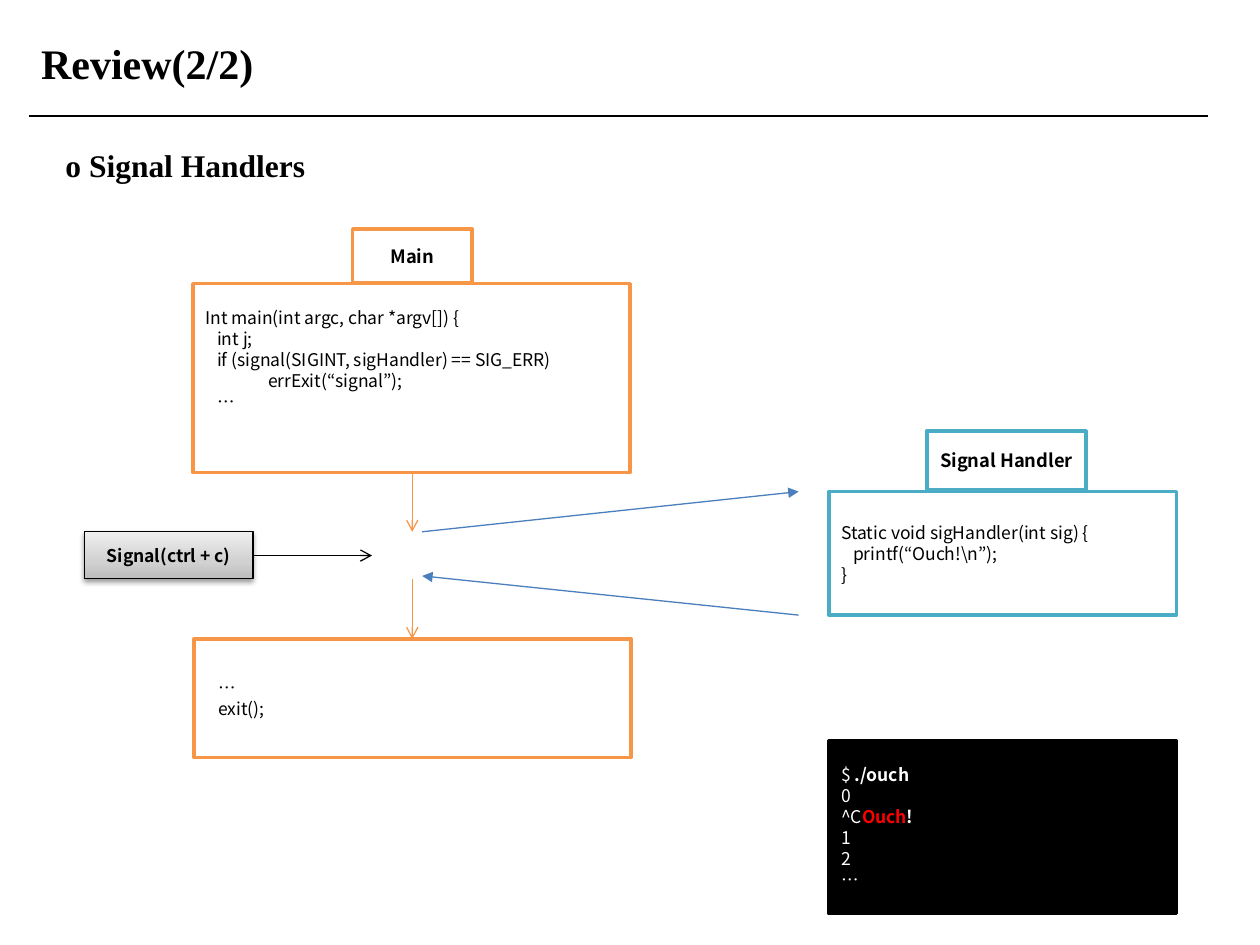
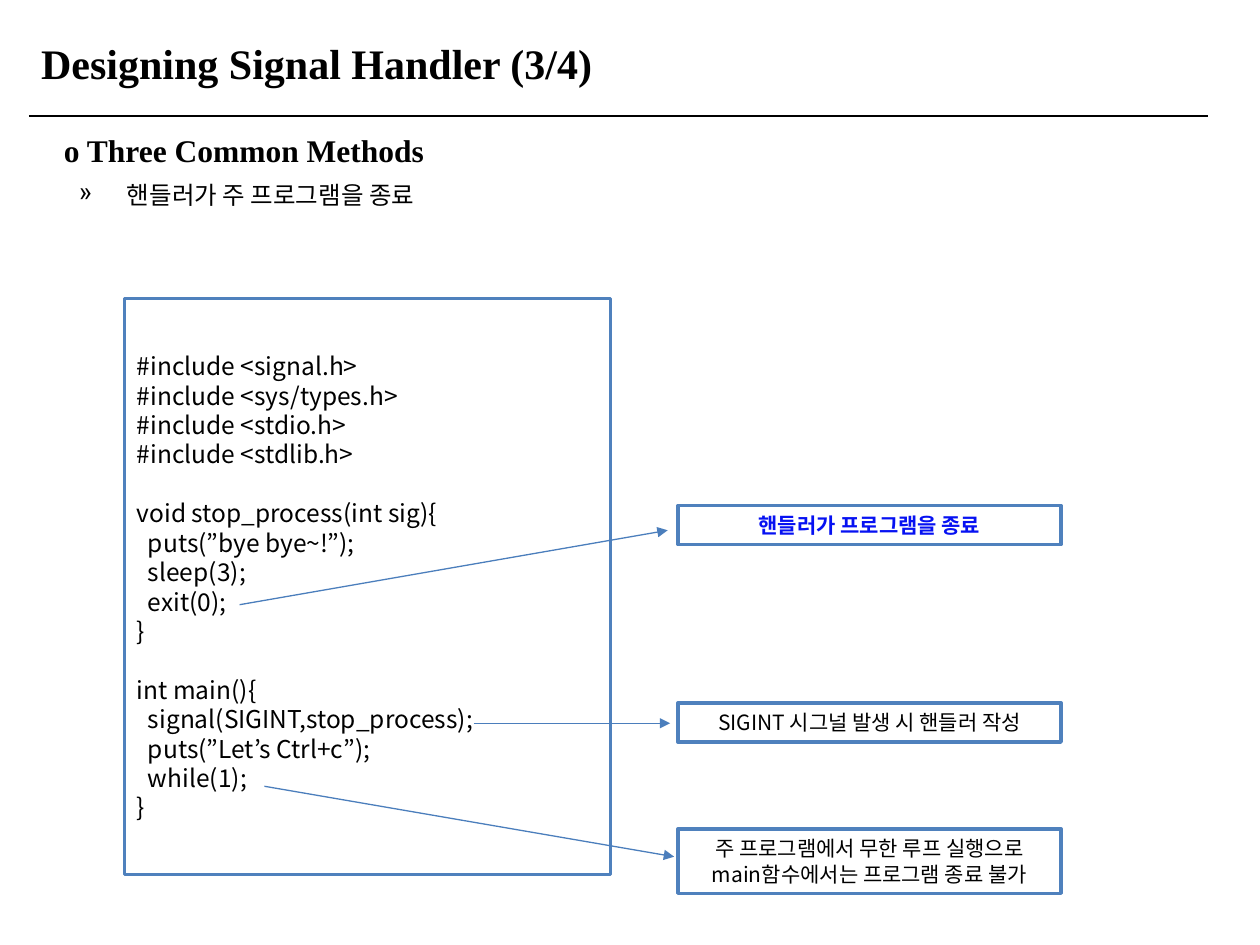
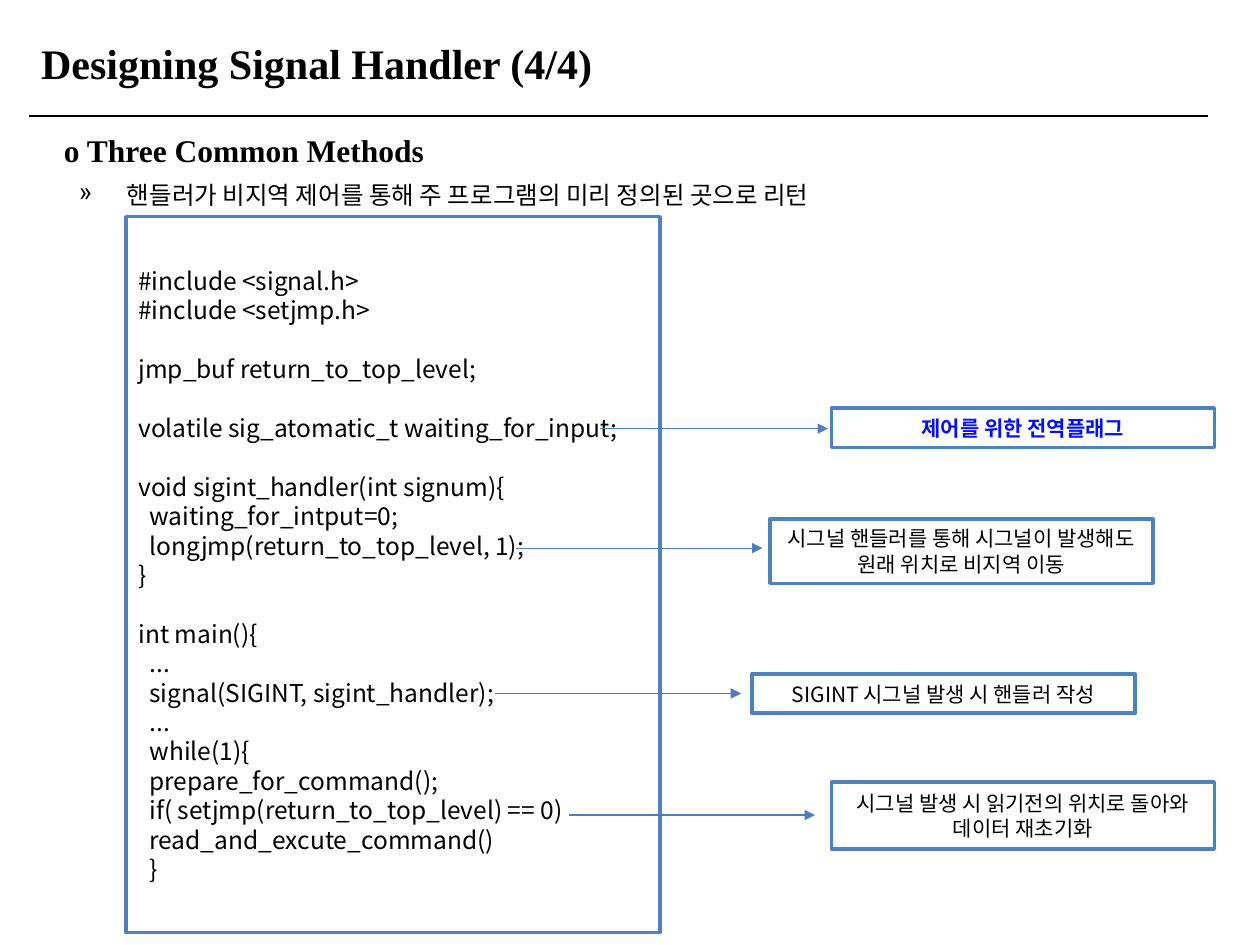
from lxml.etree import SubElement
from pptx import Presentation
from pptx.dml.color import RGBColor
from pptx.enum.shapes import MSO_CONNECTOR as Connector, MSO_SHAPE as Shape
from pptx.enum.text import MSO_ANCHOR as Anchor, MSO_AUTO_SIZE as AutoSize, PP_ALIGN as Align
from pptx.oxml import parse_xml
from pptx.oxml.ns import nsdecls, qn
from pptx.util import Cm, Pt

BLACK, WHITE, RED = "000000", "FFFFFF", "FF0000"
ORANGE, TEAL, BLUE = "F79646", "4BACC6", "4F81BD"
ARROW_BLUE, STRONG_BLUE = "4B7EBC", "0611F2"
SERIF, SANS = "Times New Roman", "Noto Sans CJK KR"
LINE_HEIGHT = 1.2      # height of a text line, in text sizes
SPACE_WIDTH = 0.008    # cm for one space, per point of text size


def color(value):
    return RGBColor.from_string(value)


class Painter:
    """Holds the shared style and draws on the current slide."""

    def __init__(self, deck):
        self.deck = deck
        self.page = None

    # Page frame
    def start(self, title, heading, heading_at):
        self.page = self.deck.slides.add_slide(self.deck.slide_layouts[6])
        self.text((0.58, 0.64, 24.84, 1.27), title, size=24, font=SERIF, bold=True)
        self.text(heading_at, heading, 1.2, size=18, font=SERIF, bold=True)
        self.line((0.58, 2.34), (24.36, 2.34), BLACK)

    # Text
    def add_spans(self, para, content, **base):
        """Content is a string, or a list of (string, changed format) pairs."""
        pieces = [(content, {})] if isinstance(content, str) else content
        for words, changes in pieces:
            style = {"size": 10, "font": SANS, "color": BLACK, "bold": False, **base, **changes}
            span = para.add_run()
            span.text = words
            span.font.color.rgb = color(style["color"])
            values = {"size": Pt(style["size"]), "bold": style["bold"], "name": style["font"]}
            for name, value in values.items():
                setattr(span.font, name, value)
            SubElement(span.font._element, qn("a:ea"), typeface=style["font"])

    def text(self, at, words, spacing=1.0, bullet=None, **style):
        box = self.page.shapes.add_textbox(*map(Cm, at))
        box.text_frame.word_wrap = True
        box.text_frame.auto_size = AutoSize.SHAPE_TO_FIT_TEXT
        para = box.text_frame.paragraphs[0]
        para.line_spacing = spacing
        if bullet:
            self.indent(para, 1.27, -0.97)
            SubElement(para._p.get_or_add_pPr(), qn("a:buChar"), char=bullet)
        self.add_spans(para, words, **style)

    def indent(self, para, left, first=0):
        settings = para._p.get_or_add_pPr()
        settings.set("marL", str(Cm(left)))
        settings.set("indent", str(Cm(first)))

    # Boxes
    def box(self, at, lines, border, fill=WHITE, align=Align.LEFT, width=2, margins=None, **style):
        """Leading spaces become an indent, an empty line becomes space before."""
        box = self.page.shapes.add_shape(Shape.RECTANGLE, *map(Cm, at))
        box.shadow.inherit = False
        box.fill.solid()
        box.fill.fore_color.rgb = color(fill)
        box.line.color.rgb = color(border)
        box.line.width = Pt(width)
        frame = box.text_frame
        frame.word_wrap = True
        frame.vertical_anchor = Anchor.MIDDLE
        for side, value in (margins or {}).items():
            setattr(frame, f"margin_{side}", Cm(value))
        size = style.get("size", 10)
        para, gap = None, 0
        for content in lines:
            if not content:
                gap += size * LINE_HEIGHT
                continue
            para = frame.add_paragraph() if para else frame.paragraphs[0]
            para.alignment = align
            if gap:
                para.space_before, gap = Pt(gap), 0
            if isinstance(content, str) and content.startswith(" "):
                words = content.lstrip(" ")
                self.indent(para, (len(content) - len(words)) * size * SPACE_WIDTH)
                content = words
            self.add_spans(para, content, **style)
        return box

    def label(self, at, words, border, **options):
        return self.box(at, [words], border, align=Align.CENTER, bold=True,
                        margins={"left": 0, "right": 0}, **options)

    def code(self, at, source):
        self.box(at, source.strip("\n").split("\n"), BLUE, size=14)

    def note(self, left, top, height, *lines, **style):
        self.box((left, top, 7.72, height), lines, BLUE, align=Align.CENTER, size=12, **style)

    def raise_button(self, box):
        """Gives a box a grey gradient and a soft shadow."""
        stops = "".join(f'<a:gs pos="{place}000"><a:srgbClr val="{tone}"/></a:gs>'
                        for place, tone in ((0, "BDBDBD"), (35, "D1D1D1"), (100, "EEEEEE")))
        parts = box._element.spPr
        parts.replace(parts.find(qn("a:solidFill")), parse_xml(
            f'<a:gradFill {nsdecls("a")}><a:gsLst>{stops}</a:gsLst>'
            '<a:lin ang="16200000" scaled="0"/></a:gradFill>'))
        parts.find(qn("a:effectLst")).append(parse_xml(
            f'<a:outerShdw {nsdecls("a")} blurRad="{Pt(3.1)}" dist="{Pt(1.6)}" dir="5400000" '
            f'rotWithShape="0"><a:srgbClr val="{BLACK}"><a:alpha val="38000"/></a:srgbClr>'
            '</a:outerShdw>'))

    # Lines and arrows
    def line(self, start, end, stroke=ARROW_BLUE, head=None):
        line = self.page.shapes.add_connector(Connector.STRAIGHT, *map(Cm, start + end))
        line.line.color.rgb = color(stroke)
        line.line.width = Pt(0.75)
        if head:
            SubElement(line.get_or_add_ln(), qn("a:tailEnd"), type=head)
        SubElement(line._element.spPr, qn("a:effectLst"))

    def pointer(self, start, end):
        self.line(start, end, head="triangle")


def draw_review(painter):
    painter.start("Review(2/2)", "o Signal Handlers", (1.07, 2.67, 23.83, 1.09))

    # Main program
    painter.box((3.89, 5.72, 8.81, 3.81), [
        "Int main(int argc, char *argv[]) {",
        "   int j;",
        "   if (signal(SIGINT, sigHandler) == SIG_ERR)",
        "\terrExit(“signal”);",
        "   …",
    ], ORANGE, margins={"bottom": 0.89})
    painter.label((7.11, 4.62, 2.41, 1.09), "Main", ORANGE, size=10.5)
    painter.box((3.91, 12.88, 8.81, 2.39), ["   …", "   exit();"], ORANGE)
    for top, bottom in ((9.53, 10.72), (11.68, 12.88)):
        painter.line((8.31, top), (8.31, bottom), ORANGE, "arrow")

    # Incoming signal
    signal = painter.label((1.7, 10.72, 3.4, 0.94), "Signal(ctrl + c)", BLACK, width=0.75)
    painter.raise_button(signal)
    painter.line((5.1, 11.2), (7.5, 11.2), BLACK, "arrow")

    # Handler, with the way there and back
    painter.pointer((8.51, 10.72), (16.1, 9.91))
    painter.pointer((16.1, 12.4), (8.51, 11.61))
    painter.box((16.71, 9.91, 7.01, 2.49), [
        "Static void sigHandler(int sig) {", "   printf(“Ouch!\\n”);", "}"], TEAL)
    painter.label((18.69, 8.69, 3.2, 1.19), "Signal Handler", TEAL, size=10.5)

    # Terminal
    bold = {"bold": True}
    painter.box((16.71, 14.94, 7.01, 3.48), [
        [("$ ", {}), ("./ouch", bold)],
        "0",
        [("^C", {}), ("Ouch", {"color": RED, **bold}), ("!", bold)],
        "1", "2", "…",
    ], BLACK, fill=BLACK, color=WHITE)


def start_method(painter, number, method):
    painter.start(f"Designing Signal Handler ({number}/4)", "o Three Common Methods",
                  (1.04, 2.36, 23.83, 1.17))
    painter.text((1.04, 3.2, 21.67, 1.14), method, 1.5, bullet="»", size=14)


def draw_exit_method(painter):
    start_method(painter, 3, "핸들러가 주 프로그램을 종료")
    painter.code((2.51, 6.02, 9.8, 11.61), """
#include <signal.h>
#include <sys/types.h>
#include <stdio.h>
#include <stdlib.h>

void stop_process(int sig){
  puts(”bye bye~!”);
  sleep(3);
  exit(0);
}

int main(){
  signal(SIGINT,stop_process);
  puts(”Let’s Ctrl+c”);
  while(1);
}
""")
    painter.note(13.67, 10.19, 0.79, "핸들러가 프로그램을 종료", color=STRONG_BLUE, bold=True)
    painter.note(13.67, 14.17, 0.79, "SIGINT 시그널 발생 시 핸들러 작성")
    painter.note(13.67, 16.71, 1.3, "주 프로그램에서 무한 루프 실행으로",
                 "main함수에서는 프로그램 종료 불가")
    painter.pointer((4.83, 12.19), (13.46, 10.69))
    painter.pointer((9.55, 14.58), (13.51, 14.58))
    painter.pointer((5.33, 15.85), (13.59, 17.27))


def draw_jump_method(painter):
    start_method(painter, 4, "핸들러가 비지역 제어를 통해 주 프로그램의 미리 정의된 곳으로 리턴")
    painter.code((2.54, 4.37, 10.77, 14.43), """
#include <signal.h>
#include <setjmp.h>

jmp_buf return_to_top_level;

volatile sig_atomatic_t waiting_for_input;

void sigint_handler(int signum){
  waiting_for_intput=0;
  longjmp(return_to_top_level, 1);
}

int main(){
  ...
  signal(SIGINT, sigint_handler);
  ...
  while(1){
  prepare_for_command();
  if( setjmp(return_to_top_level) == 0)
  read_and_excute_command()
  }
""")
    painter.note(16.76, 8.23, 0.79, "제어를 위한 전역플래그", color=STRONG_BLUE, bold=True)
    painter.note(15.52, 10.46, 1.3, "시그널 핸들러를 통해 시그널이 발생해도 원래 위치로 비지역 이동")
    painter.note(15.16, 13.59, 0.79, "SIGINT 시그널 발생 시 핸들러 작성")
    painter.note(16.76, 15.77, 1.35, "시그널 발생 시 읽기전의 위치로 돌아와 데이터 재초기화")
    for left, right, height in ((12.09, 16.69, 8.64), (10.41, 15.37, 11.05),
                                (9.98, 14.94, 13.98), (11.48, 16.43, 16.43)):
        painter.pointer((left, height), (right, height))


def main():
    deck = Presentation()
    deck.slide_width, deck.slide_height = Cm(25.4), Cm(19.05)
    painter = Painter(deck)
    for draw in (draw_review, draw_exit_method, draw_jump_method):
        draw(painter)
    deck.save("out.pptx")


if __name__ == "__main__":
    main()
